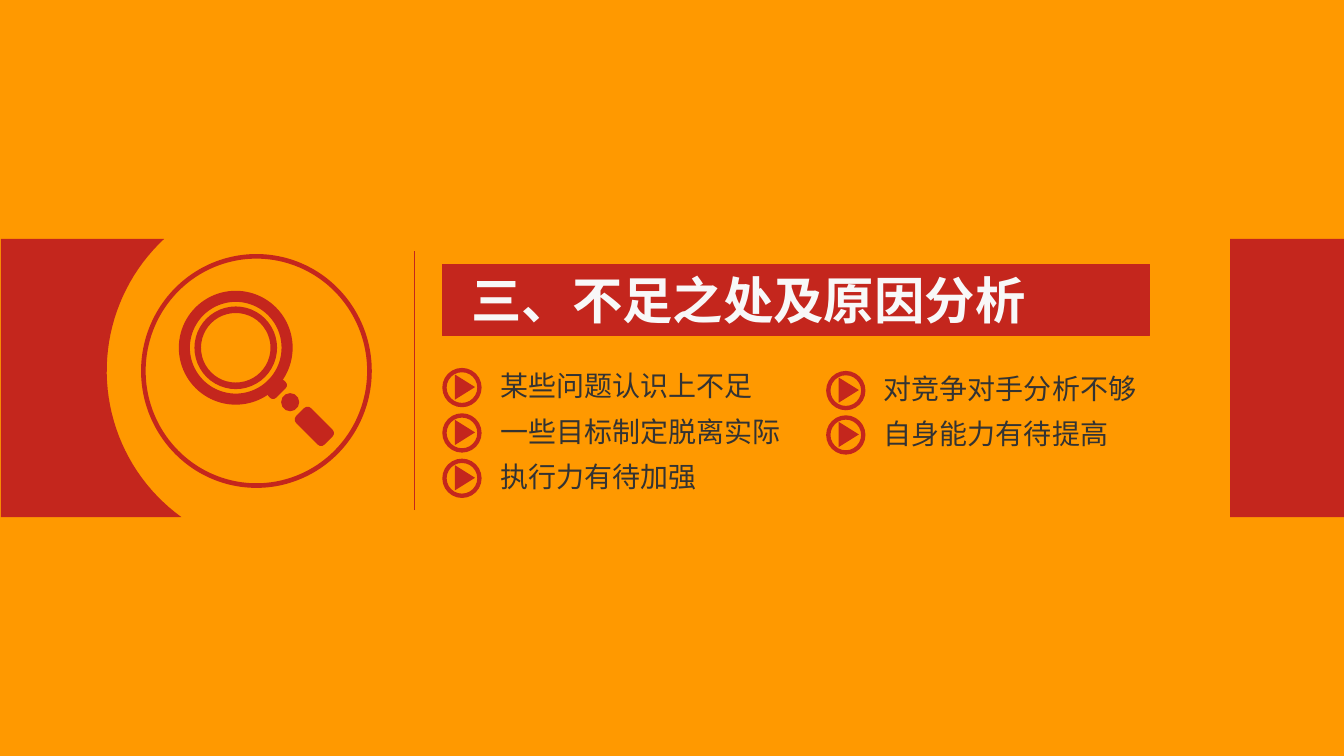
from dataclasses import dataclass
from math import asin, cos, pi, sin

from lxml.etree import SubElement
from pptx import Presentation
from pptx.dml.color import RGBColor
from pptx.enum.shapes import MSO_CONNECTOR as Connector, MSO_SHAPE as Shape
from pptx.enum.text import MSO_ANCHOR as Anchor, MSO_AUTO_SIZE as AutoSize
from pptx.oxml.ns import qn
from pptx.util import Inches, Pt


@dataclass(frozen=True)
class Theme:
    background: str = "FF9900"
    accent: str = "C4261D"
    title_color: str = "F8F8F8"
    body_color: str = "333333"
    title_size: int = 36
    body_size: int = 20
    title_font: str = "Noto Sans CJK SC"
    body_font: str = "Arial"
    east_asian_font: str = "Noto Sans CJK SC"
    line_width: float = 0.75


class SectionSlide:
    def __init__(self, slide, theme):
        self.slide = slide
        self.theme = theme
        self.shapes = slide.shapes
        fill = slide.background.fill
        fill.solid()
        fill.fore_color.rgb = RGBColor.from_string(theme.background)

    def paint(self, shape, outlined=False):
        accent = RGBColor.from_string(self.theme.accent)
        shape.shadow.inherit = False
        shape.fill.solid()
        shape.fill.fore_color.rgb = accent
        if outlined:
            shape.line.color.rgb = accent
            shape.line.width = Pt(self.theme.line_width)
        else:
            shape.line.fill.background()
        return shape

    def block(self, kind, left, top, width, height, rotation=0,
              adjustment=None, outlined=False, shapes=None):
        target = self.shapes if shapes is None else shapes
        shape = target.add_shape(kind, Inches(left), Inches(top), Inches(width), Inches(height))
        shape.rotation = rotation
        if adjustment is not None:
            shape.adjustments[0] = adjustment
        return self.paint(shape, outlined)

    def centered(self, kind, x, y, width, height, **options):
        return self.block(kind, x - width / 2, y - height / 2, width, height, **options)

    def outline(self, points):
        first, *rest = [(Inches(x), Inches(y)) for x, y in points]
        builder = self.shapes.build_freeform(*first)
        builder.add_line_segments(rest, close=True)
        return self.paint(builder.convert_to_shape())

    def line(self, x1, y1, x2, y2):
        connector = self.shapes.add_connector(
            Connector.STRAIGHT, Inches(x1), Inches(y1), Inches(x2), Inches(y2))
        connector.line.color.rgb = RGBColor.from_string(self.theme.accent)
        connector.line.width = Pt(self.theme.line_width)
        SubElement(connector.element.spPr, qn("a:effectLst"))

    def text(self, words, left, top, width, height, font_name, size, color,
             bold=False, wrap=False, shapes=None):
        target = self.shapes if shapes is None else shapes
        box = target.add_textbox(Inches(left), Inches(top), Inches(width), Inches(height))
        frame = box.text_frame
        frame.text = words
        frame.word_wrap = wrap
        frame.auto_size = AutoSize.SHAPE_TO_FIT_TEXT
        frame.vertical_anchor = Anchor.TOP
        font = frame.paragraphs[0].runs[0].font
        font.size = Pt(size)
        font.bold = bold
        font.color.rgb = RGBColor.from_string(color)
        font.name = font_name
        run_properties = frame.paragraphs[0].runs[0].font._element
        SubElement(run_properties, qn("a:ea"), typeface=self.theme.east_asian_font)

    def title(self, words):
        theme = self.theme
        self.block(Shape.RECTANGLE, 4.39, 2.62, 7.02, 0.71, outlined=True)
        self.text(words, 4.58, 2.62, 5.91, 0.71, theme.title_font,
                  theme.title_size, theme.title_color, bold=True, wrap=True)

    def bullet(self, words, left, top):
        theme = self.theme
        shapes = self.shapes.add_group_shape().shapes
        self.block(Shape.DONUT, left, top, 0.39, 0.39, adjustment=0.11, shapes=shapes)
        self.block(Shape.ISOSCELES_TRIANGLE, left + 0.1, top + 0.09, 0.25, 0.2,
                   rotation=90, shapes=shapes)
        self.text(words, left + 0.475, top - 0.04, 0.2 + 0.281 * len(words), 0.44,
                  theme.body_font, theme.body_size, theme.body_color, shapes=shapes)

    def side_panels(self, top, bottom):
        center_x, center_y, radius, steps = 2.85, 3.68, 1.79, 40
        start = asin((top - center_y) / radius)
        end = asin((bottom - center_y) / radius)
        angles = [start + (end - start) * step / steps for step in range(steps + 1)]
        arc = [(center_x + radius * cos(pi - angle), center_y + radius * sin(angle))
               for angle in angles]
        self.outline([(0.01, top), *arc, (0.01, bottom)])
        self.block(Shape.RECTANGLE, 12.21, top, 1.13, bottom - top)

    def magnifier(self):
        shapes = self.shapes.add_group_shape().shapes
        lens_x, lens_y = 2.34, 3.45
        self.block(Shape.DONUT, 1.4, 2.52, 2.29, 2.32, adjustment=0.02, shapes=shapes)
        for diameter, thickness in ((1.13, 0.11), (0.82, 0.065)):
            self.centered(Shape.DONUT, lens_x, lens_y, diameter, diameter,
                          adjustment=thickness / diameter, shapes=shapes)
        self.centered(Shape.ROUNDED_RECTANGLE, 2.75, 3.86, 0.22, 0.11,
                      rotation=-45, adjustment=0.4, shapes=shapes)
        self.centered(Shape.OVAL, 2.88, 3.99, 0.18, 0.18, shapes=shapes)
        self.centered(Shape.ROUNDED_RECTANGLE, 3.12, 4.23, 0.4, 0.21,
                      rotation=45, adjustment=0.24, shapes=shapes)


def main():
    presentation = Presentation()
    presentation.slide_width = Inches(13.34)
    presentation.slide_height = Inches(7.5)
    slide = presentation.slides.add_slide(presentation.slide_layouts[6])
    section = SectionSlide(slide, Theme())

    section.title("三、不足之处及原因分析")
    section.line(4.11, 5.06, 4.11, 2.49)
    section.side_panels(2.37, 5.13)

    columns = (
        (4.39, 3.65, 0.45, ("某些问题认识上不足", "一些目标制定脱离实际", "执行力有待加强")),
        (8.2, 3.68, 0.44, ("对竞争对手分析不够", "自身能力有待提高")),
    )
    for left, top, pitch, reasons in columns:
        for row, reason in enumerate(reasons):
            section.bullet(reason, left, top + row * pitch)

    section.magnifier()
    presentation.save("out.pptx")


if __name__ == "__main__":
    main()
